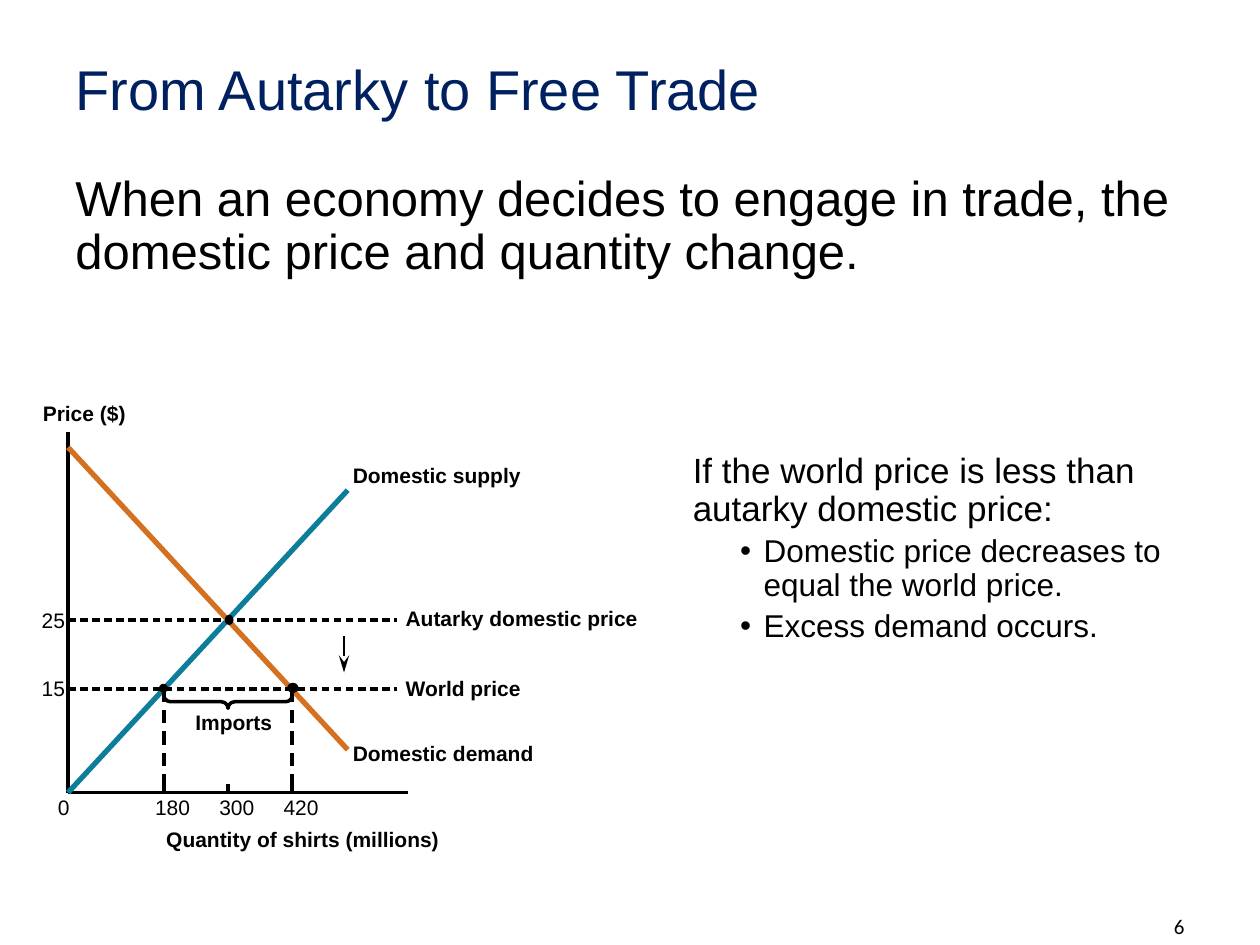
"""Build the slide on moving from autarky to free trade."""
from lxml import etree
from pptx import Presentation
from pptx.dml.color import RGBColor
from pptx.enum import shapes as es, text as et
from pptx.oxml.ns import qn
from pptx.util import Pt

NAVY = RGBColor(0x00, 0x20, 0x60)
BLACK = RGBColor(0, 0, 0)
TEAL = RGBColor(0x0E, 0x7D, 0x9C)
ORANGE = RGBColor(0xD4, 0x71, 0x20)


def write(shape, lines, size, color=BLACK, bold=False, font="Arial"):
    frame = shape.text_frame
    frame.text = "\n".join(lines)
    for para in frame.paragraphs:
        for run in para.runs:
            run.font.size = Pt(size)
            run.font.name = font
            run.font.bold = bold
            run.font.color.rgb = color
    return frame


def draw(x1, y1, x2, y2, color=BLACK, width=0):
    line = slide.shapes.add_connector(
        es.MSO_CONNECTOR.STRAIGHT, Pt(x1), Pt(y1), Pt(x2), Pt(y2))
    line.line.color.rgb = color
    line.line.width = Pt(width)
    etree.SubElement(line._element.spPr, qn("a:effectLst"))
    return line


deck = Presentation()
deck.slide_width, deck.slide_height = Pt(720), Pt(540)
slide = deck.slides.add_slide(deck.slide_layouts[5])

title = slide.shapes.title
title.left, title.top, title.width, title.height = Pt(36), Pt(21.6), Pt(648), Pt(62.6)
frame = write(title, ["From Autarky to Free Trade"], 32, NAVY)
frame.vertical_anchor = et.MSO_ANCHOR.MIDDLE
frame.paragraphs[0].alignment = et.PP_ALIGN.LEFT
frame.paragraphs[0].line_spacing = 0.9

bodies = [
    (36, 95.8, 648, 401.8, 28,
     ["When an economy decides to engage in trade, the domestic price and quantity change."]),
    (388.8, 255.6, 283.7, 218.9, 20,
     ["If the world price is less than autarky domestic price:",
      "Domestic price decreases to equal the world price.",
      "Excess demand occurs."]),
]
for x, y, w, h, size, lines in bodies:
    box = slide.shapes.add_textbox(Pt(x), Pt(y), Pt(w), Pt(h))
    frame = write(box, lines, size)
    frame.word_wrap = True
    for para in frame.paragraphs:
        para.line_spacing = 0.9
        para.space_before = Pt(7.5)
    for para in frame.paragraphs[1:]:
        para.level = 1
        para.space_before = Pt(3.8)
        para.runs[0].font.size = Pt(18)
        props = para._p.get_or_add_pPr()
        props.set("marL", str(Pt(40.5)))
        props.set("indent", str(Pt(-13.5)))
        etree.SubElement(props, qn("a:buFont"), typeface="Arial")
        etree.SubElement(props, qn("a:buChar"), char="•")

left, base = 38.9, 452.9
high, low = 354.2, 393.8
sold, even, bought = 93.6, 130.3, 167

draw(left, base, left, 247)
draw(left, base, 233.3, base)
draw(left, base, 198.7, 280.1, TEAL, 3)
draw(left, 255.6, 198.7, 428.4, ORANGE, 3)

for x in (sold, even, bought):
    draw(x, base, x, 447.8)
for y in (high, low):
    for i in range(28):
        x = left + 6.9 * i
        draw(x, y, min(x + 4.4, 226.8), y)
for x in (sold, bought):
    for i in range(5):
        y = low + 12.1 * i
        draw(x, y, x, y + 7.5)

arrow = draw(196.6, 363.6, 196.6, 384.3, width=1.5)
etree.SubElement(arrow.line._get_or_add_ln(), qn("a:tailEnd"),
                 type="stealth", w="med", len="lg")

thick, span = 7.5, bought - sold
brace = slide.shapes.add_shape(
    es.MSO_SHAPE.RIGHT_BRACE, Pt(even - thick / 2), Pt(401 - span / 2),
    Pt(thick), Pt(span))
brace.rotation = 90
brace.adjustments[0] = 0.5
brace.shadow.inherit = False
brace.fill.background()
brace.line.color.rgb = BLACK
brace.line.width = Pt(2)

for x, y, w, h, edge in ((131, high, 5, 5.8, 0), (93.4, 393.3, 3.6, 3.6, 1.5),
                         (167.4, 393.1, 5, 4.3, 1.5)):
    dot = slide.shapes.add_shape(
        es.MSO_SHAPE.OVAL, Pt(x - w / 2), Pt(y - h / 2), Pt(w), Pt(h))
    dot.shadow.inherit = False
    dot.fill.solid()
    dot.fill.fore_color.rgb = BLACK
    if edge:
        dot.line.color.rgb = BLACK
        dot.line.width = Pt(edge)
    else:
        dot.line.fill.background()

labels = [
    ("Price ($)", 24.5, 229, 47.5, True),
    ("Domestic supply", 201.6, 264.2, 97.2, True),
    ("Domestic demand", 201.6, 423.4, 104.4, True),
    ("Autarky domestic price", 231.8, 346.3, 133.9, True),
    ("World price", 231.8, 385.9, 66.2, True),
    ("Imports", 111.6, 405.4, 44.6, True),
    ("Quantity of shirts (millions)", 95, 472.3, 157.7, True),
    ("25", 23.8, 347, 13.7, False),
    ("15", 23.8, 385.9, 13.7, False),
    ("0", 33.1, 454.3, 6.5, False),
    ("180", 88.6, 454.3, 20.2, False),
    ("300", 125.3, 454.3, 20.2, False),
    ("420", 162, 454.3, 20.2, False),
]
for words, x, y, w, bold in labels:
    box = slide.shapes.add_textbox(Pt(x), Pt(y), Pt(w), Pt(14.4))
    frame = write(box, [words], 12, bold=bold)
    frame.margin_left = frame.margin_right = 0
    frame.margin_top = frame.margin_bottom = 0
    frame.word_wrap = False
    frame.auto_size = et.MSO_AUTO_SIZE.SHAPE_TO_FIT_TEXT

page = slide.shapes.add_textbox(Pt(624.2), Pt(522), Pt(59.8), Pt(18))
frame = write(page, ["6"], 12, font="Calibri")
frame.word_wrap = True
frame.vertical_anchor = et.MSO_ANCHOR.BOTTOM
frame.paragraphs[0].alignment = et.PP_ALIGN.RIGHT

deck.save("out.pptx")
